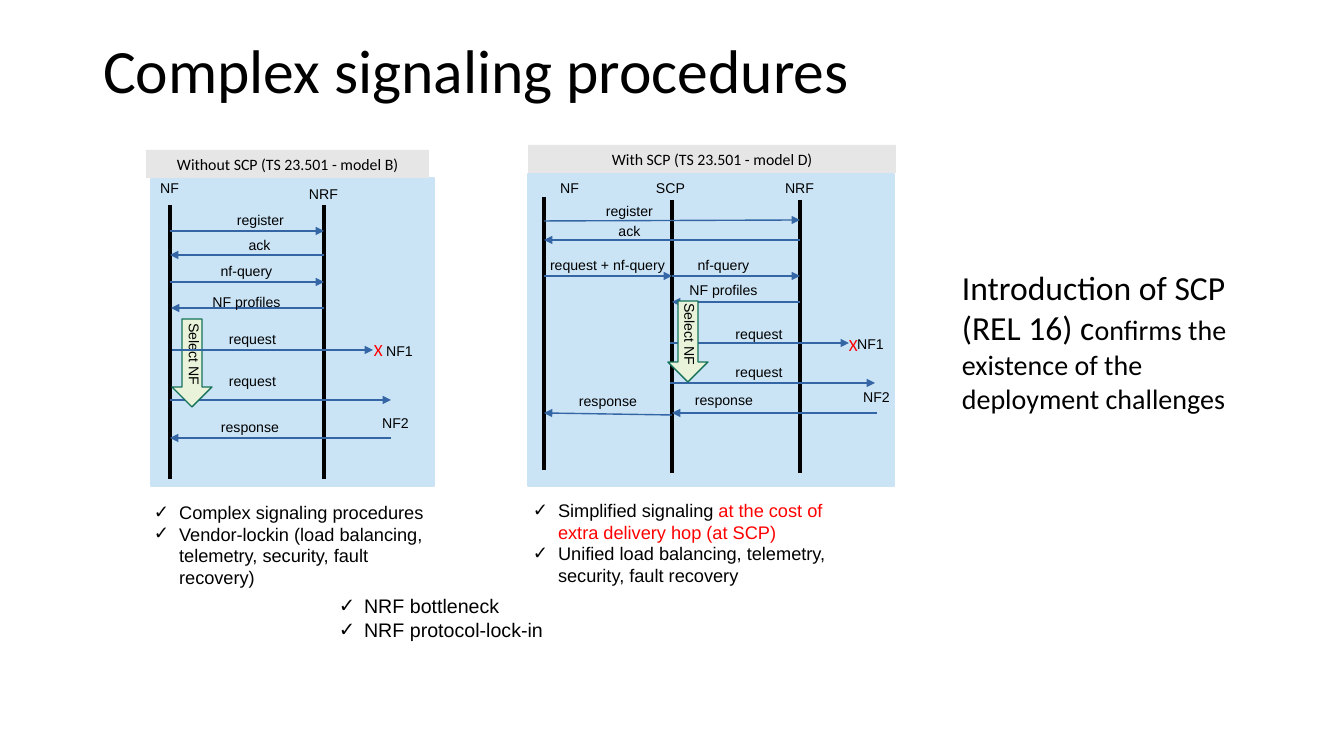
from dataclasses import dataclass

from lxml.etree import SubElement
from pptx import Presentation
from pptx.dml.color import RGBColor
from pptx.enum.shapes import MSO_CONNECTOR, MSO_SHAPE
from pptx.enum.text import MSO_ANCHOR, MSO_AUTO_SIZE, PP_ALIGN
from pptx.oxml.ns import qn
from pptx.util import Emu, Inches, Pt

SCALE = 914400 / 100.8


@dataclass(frozen=True)
class Theme:
    sans: str = "Arial"
    heading: str = "Calibri"
    ink: str = "000000"
    alert: str = "FF0000"
    panel: str = "CAE4F6"
    header: str = "E7E6E6"
    signal: str = "3465A4"
    choice: str = "E8F3DA"
    choice_edge: str = "157259"
    title_size: float = 44
    lead_size: float = 24
    body_size: float = 20
    summary_size: float = 14
    bullet_size: float = 13
    cross_size: float = 12.2
    header_size: float = 11.3
    label_size: float = 10.1
    thin: float = 1
    thick: float = 2.25


def px(value):
    return Emu(round(value * SCALE))


class SlideBuilder:
    LABEL_HEIGHTS = {23: 31, 51: 38, 77: 25, 108: 22, 153: 20}

    def __init__(self, page, theme):
        self.page = page
        self.theme = theme

    def style(self, font, size, name=None, color=None):
        font.size = Pt(size)
        font.name = name or self.theme.sans
        font.color.rgb = RGBColor.from_string(color or self.theme.ink)

    def title(self, text, *area):
        box = self.page.shapes.title
        box.left, box.top, box.width, box.height = map(px, area)
        frame = box.text_frame
        frame.text = text
        frame.vertical_anchor = MSO_ANCHOR.MIDDLE
        frame.auto_size = MSO_AUTO_SIZE.NONE
        para = frame.paragraphs[0]
        para.alignment = PP_ALIGN.LEFT
        para.line_spacing = 0.9
        self.style(para.font, self.theme.title_size, self.theme.heading)

    def shape(self, kind, area, fill, edge=None):
        shape = self.page.shapes.add_shape(kind, *map(px, area))
        shape.shadow.inherit = False
        shape.fill.solid()
        shape.fill.fore_color.rgb = RGBColor.from_string(fill)
        if edge:
            shape.line.color.rgb = RGBColor.from_string(edge)
            shape.line.width = Pt(self.theme.thin)
        else:
            shape.line.fill.background()
        return shape

    def panel(self, area, header_area, heading):
        theme = self.theme
        self.shape(MSO_SHAPE.RECTANGLE, area, theme.panel, theme.panel)
        header = self.shape(MSO_SHAPE.RECTANGLE, header_area, theme.header)
        frame = header.text_frame
        frame.text = heading
        frame.vertical_anchor = MSO_ANCHOR.MIDDLE
        para = frame.paragraphs[0]
        para.alignment = PP_ALIGN.CENTER
        self.style(para.font, theme.header_size, theme.heading)

    def line(self, ends, color, width, arrow=False):
        line = self.page.shapes.add_connector(MSO_CONNECTOR.STRAIGHT, *map(px, ends))
        line.line.color.rgb = RGBColor.from_string(color)
        line.line.width = Pt(width)
        if arrow:
            SubElement(line.line._get_or_add_ln(), qn("a:tailEnd"), type="triangle")
        SubElement(line._element.spPr, qn("a:effectLst"))

    def lifeline(self, x, top, bottom):
        self.line((x, top, x, bottom), self.theme.ink, self.theme.thick)

    def text_box(self, *area, wrap=True):
        box = self.page.shapes.add_textbox(*map(px, area))
        box.text_frame.word_wrap = wrap
        return box

    def label(self, text, left, top, width=51, height=None):
        height = height or self.LABEL_HEIGHTS[width]
        box = self.text_box(left, top, width, height, wrap=False)
        para = box.text_frame.paragraphs[0]
        para.text = text
        para.alignment = PP_ALIGN.CENTER
        self.style(para.font, self.theme.label_size)
        return box

    def cross(self, left, top):
        para = self.label("X", left, top, 23).text_frame.paragraphs[0]
        self.style(para.font, self.theme.cross_size, self.theme.heading, self.theme.alert)

    def message(self, text, ends, label_area):
        self.line(ends, self.theme.signal, self.theme.thin, arrow=True)
        self.label(text, *label_area)

    def selection(self, area, label_area):
        self.shape(MSO_SHAPE.DOWN_ARROW, area, self.theme.choice, self.theme.choice_edge)
        self.label("Select NF", *label_area).rotation = 90

    def bullets(self, area, items, size):
        frame = self.text_box(*area).text_frame
        for index, item in enumerate(items):
            para = frame.add_paragraph() if index else frame.paragraphs[0]
            for text, color in item:
                span = para.add_run()
                span.text = text
                self.style(span.font, size, color=color)
            props = para._p.get_or_add_pPr()
            props.set("marL", str(Inches(0.25)))
            props.set("indent", str(-Inches(0.25)))
            SubElement(props, qn("a:buFont"), typeface=self.theme.sans)
            SubElement(props, qn("a:buChar"), char="✓")

    def statement(self, area, parts):
        para = self.text_box(*area).text_frame.paragraphs[0]
        for text, size in parts:
            span = para.add_run()
            span.text = text
            self.style(span.font, size, self.theme.heading)


deck = Presentation()
deck.slide_width, deck.slide_height = px(1344), px(756)
theme = Theme()
slide = SlideBuilder(deck.slides.add_slide(deck.slide_layouts[5]), theme)
slide.title("Complex signaling procedures", 93, 21, 1159, 106)

# Panels with their headers
slide.panel((151, 178, 283, 308), (146, 150, 283, 28), "Without SCP (TS 23.501 - model B)")
slide.panel((528, 174, 366, 312), (528, 145, 368, 28), "With SCP (TS 23.501 - model D)")

# Participants and their lifelines
for x, top, bottom in [(170, 205, 479), (324, 205, 479),
                       (544, 197, 470), (672, 200, 473), (800, 200, 473)]:
    slide.lifeline(x, top, bottom)
for name, left, top in [
    ("NF", 144, 174), ("NRF", 298, 180), ("NF1", 374, 337), ("NF2", 370, 409),
    ("NF", 544, 174), ("SCP", 645, 174), ("NRF", 774, 174), ("NF1", 845, 330), ("NF2", 851, 383),
]:
    slide.label(name, left, top)

# Messages: text, arrow ends, label left, top and width
messages = [
    # Without SCP
    ("register", (170, 231, 324, 231), (222, 206, 77)),
    ("ack", (324, 255, 170, 255), (221, 231, 77)),
    ("nf-query", (170, 282, 324, 282), (170, 257, 153)),
    ("NF profiles", (324, 308, 171, 308), (170, 288, 153)),
    ("request", (170, 400, 391, 400), (214, 367, 77)),
    ("response", (391, 438, 170, 438), (196, 413, 108)),
    # With SCP
    ("register", (544, 221, 800, 220), (591, 197, 77)),
    ("ack", (800, 240, 544, 240), (591, 217, 77)),
    ("request + nf-query", (544, 276, 672, 276), (531, 251, 153)),
    ("nf-query", (672, 276, 800, 276), (647, 251, 153)),
    ("NF profiles", (800, 302, 672, 302), (647, 276, 153)),
    ("request", (670, 343, 849, 343), (705, 320, 108)),
    ("request", (670, 383, 875, 383), (705, 358, 108)),
    ("response", (877, 413, 672, 413), (670, 386, 108)),
    ("response", (672, 415, 544, 413), (554, 387, 108)),
]
for text, ends, label_area in messages:
    slide.message(text, ends, label_area)

# NF selection and the failed requests
slide.selection((172, 319, 40, 88), (146, 339, 93, 31))
slide.selection((668, 301, 40, 81), (645, 319, 86, 31))
slide.message("request", (172, 350, 373, 350), (214, 325, 77))
slide.cross(364, 334)
slide.cross(839, 329)

# Findings below the panels
slide.bullets((144, 496, 313, 98), [
    [("Complex signaling procedures", theme.ink)],
    [("Vendor-lockin (load balancing, telemetry, security, fault recovery)", theme.ink)],
], theme.bullet_size)
slide.bullets((523, 494, 354, 120), [
    [("Simplified signaling ", theme.ink),
     ("at the cost of extra delivery hop (at SCP)", theme.alert)],
    [("Unified load balancing, telemetry, security, fault recovery", theme.ink)],
], theme.bullet_size)
slide.bullets((329, 589, 265, 57), [
    [("NRF bottleneck", theme.ink)],
    [("NRF protocol-lock-in", theme.ink)],
], theme.summary_size)

# Conclusion
slide.statement((952, 262, 300, 159), [
    ("Introduction of SCP (REL 16) c", theme.lead_size),
    ("onfirms the existence of the deployment challenges", theme.body_size),
])

deck.save("out.pptx")
